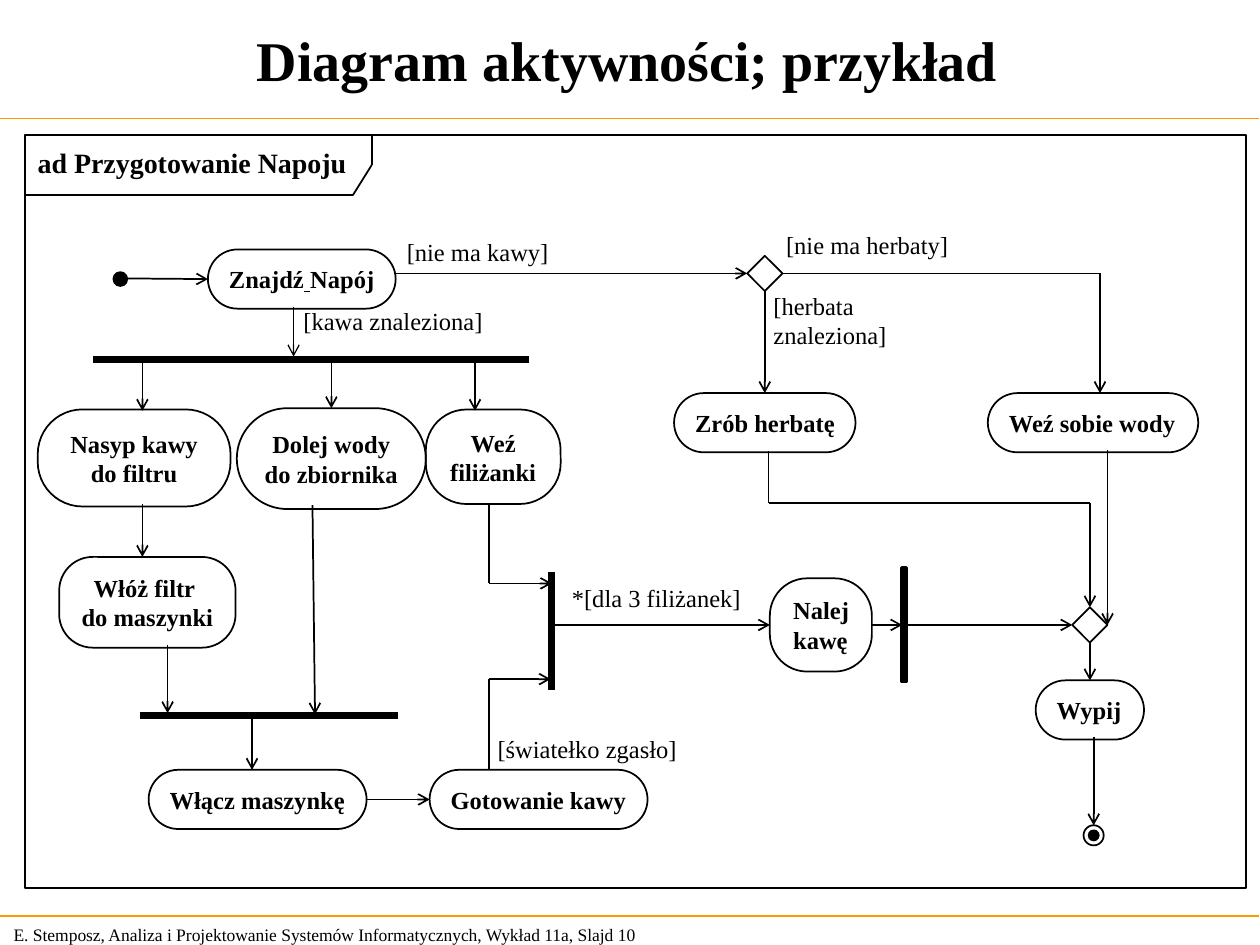
"""Build a slide with a UML activity diagram of preparing a drink."""
import pptx
import pptx.dml.color
import pptx.enum.shapes
import pptx.enum.text
import pptx.oxml
import pptx.oxml.ns
import pptx.util

Inches = pptx.util.Inches
Pt = pptx.util.Pt
Kind = pptx.enum.shapes.MSO_SHAPE
Align = pptx.enum.text.PP_ALIGN
Anchor = pptx.enum.text.MSO_ANCHOR
AutoSize = pptx.enum.text.MSO_AUTO_SIZE

BLACK = pptx.dml.color.RGBColor(0x00, 0x00, 0x00)
WHITE = pptx.dml.color.RGBColor(0xFF, 0xFF, 0xFF)
ORANGE = pptx.dml.color.RGBColor(0xFF, 0x99, 0x00)
TOP, LEFT, BOTTOM, RIGHT = range(4)


def write(shape, text, size=14, bold=False, align=Align.LEFT, **frame_format):
    """Fill a text frame, one paragraph a row, underlining a space given as _."""
    frame = shape.text_frame
    frame_values = {"word_wrap": False, "auto_size": AutoSize.NONE,
                    "vertical_anchor": Anchor.TOP, "margin_right": Inches(0.04),
                    "margin_left": Inches(0.04 if align == Align.CENTER else 0.1),
                    **frame_format}
    for name, value in frame_values.items():
        setattr(frame, name, value)
    for index, row in enumerate(text.split("\n")):
        paragraph = frame.add_paragraph() if index else frame.paragraphs[0]
        paragraph.alignment = align
        for piece in filter(None, row.partition("_")):
            run = paragraph.add_run()
            run.text = piece.replace("_", " ")
            font_values = {"name": "Times New Roman", "size": Pt(size), "bold": bold}
            if piece == "_":
                font_values["underline"] = True
            for name, value in font_values.items():
                setattr(run.font, name, value)
            run.font.color.rgb = BLACK


def draw_line(points, width=1, color=BLACK, arrow=False, begin=None, end=None):
    """Draw a straight connector, joined to shapes where these are given."""
    connector = slide.shapes.add_connector(
        pptx.enum.shapes.MSO_CONNECTOR.STRAIGHT, *map(Inches, points))
    connector.line.width = Pt(width)
    connector.line.color.rgb = color
    if begin:
        connector.begin_connect(*begin)
    if end:
        connector.end_connect(*end)
    if arrow:
        tail = pptx.oxml.parse_xml(
            f'<a:tailEnd {pptx.oxml.ns.nsdecls("a")} type="arrow"/>')
        connector.line._get_or_add_ln().append(tail)
    effects = pptx.oxml.parse_xml(f'<a:effectLst {pptx.oxml.ns.nsdecls("a")}/>')
    connector._element.spPr.append(effects)


presentation = pptx.Presentation()
presentation.slide_width = Inches(10)
presentation.slide_height = Inches(7.5)
slide = presentation.slides.add_slide(presentation.slide_layouts[5])

title = slide.shapes.title
title_box = {"left": 0, "top": 0.04, "width": 9.96, "height": 0.85}
for name, value in title_box.items():
    setattr(title, name, Inches(value))
write(title, "Diagram aktywności; przykład", 32, True, Align.CENTER, word_wrap=True,
      vertical_anchor=Anchor.MIDDLE)

footer = slide.shapes.add_textbox(*map(Inches, (0.01, 7.28, 5.24, 0.27)))
write(footer, "E. Stemposz, Analiza i Projektowanie Systemów Informatycznych, "
      "Wykład 11a, Slajd 10", 10, word_wrap=True, vertical_anchor=Anchor.MIDDLE)
for rule_top in (0.94, 7.27):
    draw_line((-0.01, rule_top, 9.99, rule_top), 0.75, ORANGE)

frame_label = slide.shapes.add_textbox(*map(Inches, (0.2, 1.11, 2.65, 0.36)))
write(frame_label, "ad Przygotowanie Napoju", 16, True)

final_node = slide.shapes.add_group_shape()
nodes = {}
for name, parent, kind, box, fill, width in (
    ("frame", slide, Kind.RECTANGLE, (0.2, 1.07, 9.69, 5.98), None, 1),
    ("start", slide, Kind.OVAL, (0.9, 2.16, 0.11, 0.11), BLACK, 1),
    ("pour bar", slide, Kind.RECTANGLE, (7.16, 4.51, 0.03, 0.9), None, 2),
    ("tea decision", slide, Kind.DIAMOND, (5.93, 2.03, 0.28, 0.28), WHITE, 1),
    ("merge", slide, Kind.DIAMOND, (8.51, 4.82, 0.28, 0.28), None, 1),
    ("final dot", final_node, Kind.OVAL, (8.64, 6.59, 0.08, 0.08), BLACK, 1),
    ("final ring", final_node, Kind.OVAL, (8.6, 6.55, 0.16, 0.16), None, 1),
    ("Znajdź_Napój", slide, Kind.ROUNDED_RECTANGLE, (1.65, 1.98, 1.49, 0.47), None, 1),
    ("Nasyp kawy\ndo filtru", slide, Kind.ROUNDED_RECTANGLE, (0.3, 3.25, 1.53, 0.77), WHITE, 1),
    ("Dolej wody\ndo zbiornika", slide, Kind.ROUNDED_RECTANGLE, (1.88, 3.24, 1.5, 0.8), WHITE, 1),
    ("Weź\nfiliżanki", slide, Kind.ROUNDED_RECTANGLE, (3.38, 3.25, 1.07, 0.75), None, 1),
    ("Włóż filtr \ndo maszynki", slide, Kind.ROUNDED_RECTANGLE, (0.47, 4.42, 1.4, 0.72), None, 1),
    ("Włącz maszynkę", slide, Kind.ROUNDED_RECTANGLE, (1.18, 6.11, 1.73, 0.47), None, 1),
    ("Gotowanie kawy", slide, Kind.ROUNDED_RECTANGLE, (3.41, 6.11, 1.73, 0.47), None, 1),
    ("Nalej\nkawę", slide, Kind.ROUNDED_RECTANGLE, (6.11, 4.59, 0.81, 0.74), None, 1),
    ("Zrób herbatę", slide, Kind.ROUNDED_RECTANGLE, (5.35, 3.12, 1.44, 0.47), None, 1),
    ("Weź sobie wody", slide, Kind.ROUNDED_RECTANGLE, (7.84, 3.12, 1.67, 0.47), None, 1),
    ("Wypij", slide, Kind.ROUNDED_RECTANGLE, (8.22, 5.4, 0.86, 0.47), None, 1),
):
    shape = parent.shapes.add_shape(kind, *map(Inches, box))
    shape.shadow.inherit = False
    shape.line.color.rgb = BLACK
    shape.line.width = Pt(width)
    if fill is None:
        shape.fill.background()
    else:
        shape.fill.solid()
        shape.fill.fore_color.rgb = fill
    if kind == Kind.ROUNDED_RECTANGLE:
        corners = {"Nasyp kawy\ndo filtru": 0.46, "Weź\nfiliżanki": 0.43,
                   "Włóż filtr \ndo maszynki": 0.37, "Nalej\nkawę": 0.4}
        shape.adjustments[0] = corners.get(name, 0.5)
        centred = "\n" in name and not name.startswith("Nalej")
        write(shape, name, bold=True, align=Align.CENTER if centred else Align.LEFT)
    nodes[name] = shape

for text, box in (
    ("[nie ma kawy]", (3.13, 1.83, 1.32, 0.33)),
    ("[kawa znaleziona]", (2.31, 2.38, 1.62, 0.33)),
    ("[nie ma herbaty]", (6.14, 1.78, 1.49, 0.33)),
    ("[herbata\nznaleziona]", (6.04, 2.26, 1.1, 0.56)),
    ("[światełko zgasło]", (3.85, 5.78, 1.62, 0.33)),
    ("*[dla 3 filiżanek]", (4.44, 4.58, 1.54, 0.34)),
):
    write(slide.shapes.add_textbox(*map(Inches, box)), text)

for bar in ((0.74, 2.85, 4.2, 2.85), (1.11, 5.68, 3.16, 5.68), (4.38, 4.54, 4.38, 5.48)):
    draw_line(bar, 4)

for segment in (
    (0.2, 1.55, 2.8, 1.55), (2.8, 1.55, 2.95, 1.31), (2.95, 1.31, 2.95, 1.07),
    (3.88, 6.11, 3.88, 5.39), (3.88, 3.99, 3.88, 4.63),
    (6.1, 3.58, 6.1, 3.99), (6.1, 3.99, 8.65, 3.99),
):
    draw_line(segment)
draw_line((6.21, 2.17, 8.73, 2.17), begin=(nodes["tea decision"], RIGHT))

draw_line((2.33, 2.44, 2.33, 2.83), 0.75, arrow=True)
for flow in (
    (1.13, 2.86, 1.13, 3.26), (3.77, 2.86, 3.77, 3.26), (1.13, 4, 1.13, 4.42),
    (1.33, 5.12, 1.33, 5.66), (2.48, 4.01, 2.5, 5.67), (2, 5.69, 2, 6.11),
    (3.88, 5.39, 4.37, 5.39), (3.88, 4.63, 4.38, 4.63), (8.73, 2.17, 8.73, 3.12),
):
    draw_line(flow, arrow=True)

for flow, begin, end in (
    ((1.01, 2.21, 1.65, 2.21), None, ("Znajdź_Napój", LEFT)),
    ((3.14, 2.17, 5.93, 2.17), None, ("tea decision", LEFT)),
    ((6.07, 2.31, 6.07, 3.12), ("tea decision", BOTTOM), ("Zrób herbatę", TOP)),
    ((2.63, 2.86, 2.63, 3.24), None, ("Dolej wody\ndo zbiornika", TOP)),
    ((2.91, 6.35, 3.41, 6.35), ("Włącz maszynkę", RIGHT), ("Gotowanie kawy", LEFT)),
    ((4.4, 4.96, 6.11, 4.96), None, ("Nalej\nkawę", LEFT)),
    ((6.92, 4.96, 7.16, 4.96), ("Nalej\nkawę", RIGHT), ("pour bar", LEFT)),
    ((7.19, 4.96, 8.51, 4.96), ("pour bar", RIGHT), ("merge", LEFT)),
    ((8.65, 3.99, 8.65, 4.82), None, ("merge", TOP)),
    ((8.79, 3.57, 8.79, 4.96), None, ("merge", RIGHT)),
    ((8.65, 5.1, 8.65, 5.4), ("merge", BOTTOM), ("Wypij", TOP)),
    ((8.68, 5.85, 8.68, 6.55), None, ("final ring", TOP)),
):
    draw_line(flow, arrow=True, begin=begin and (nodes[begin[0]], begin[1]),
              end=(nodes[end[0]], end[1]))

presentation.save("out.pptx")
